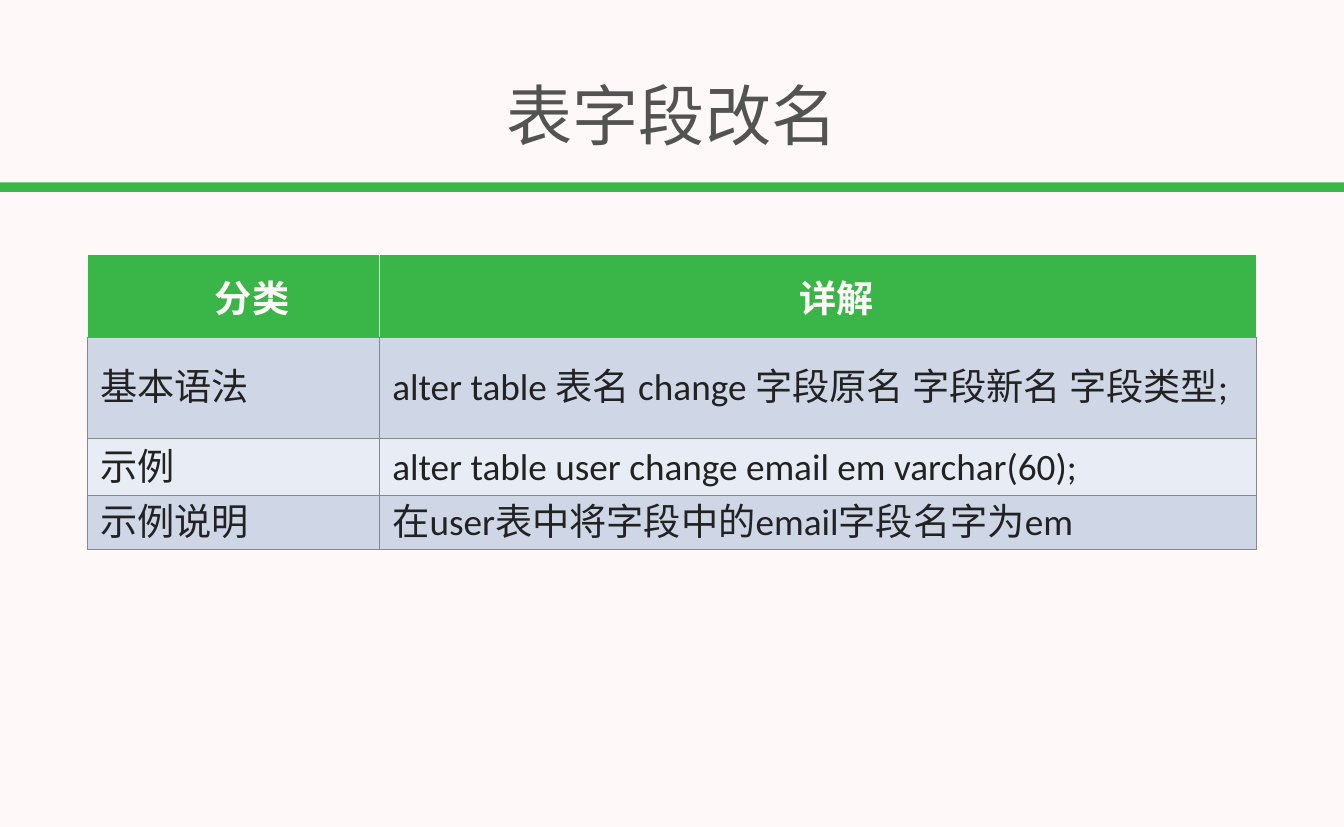
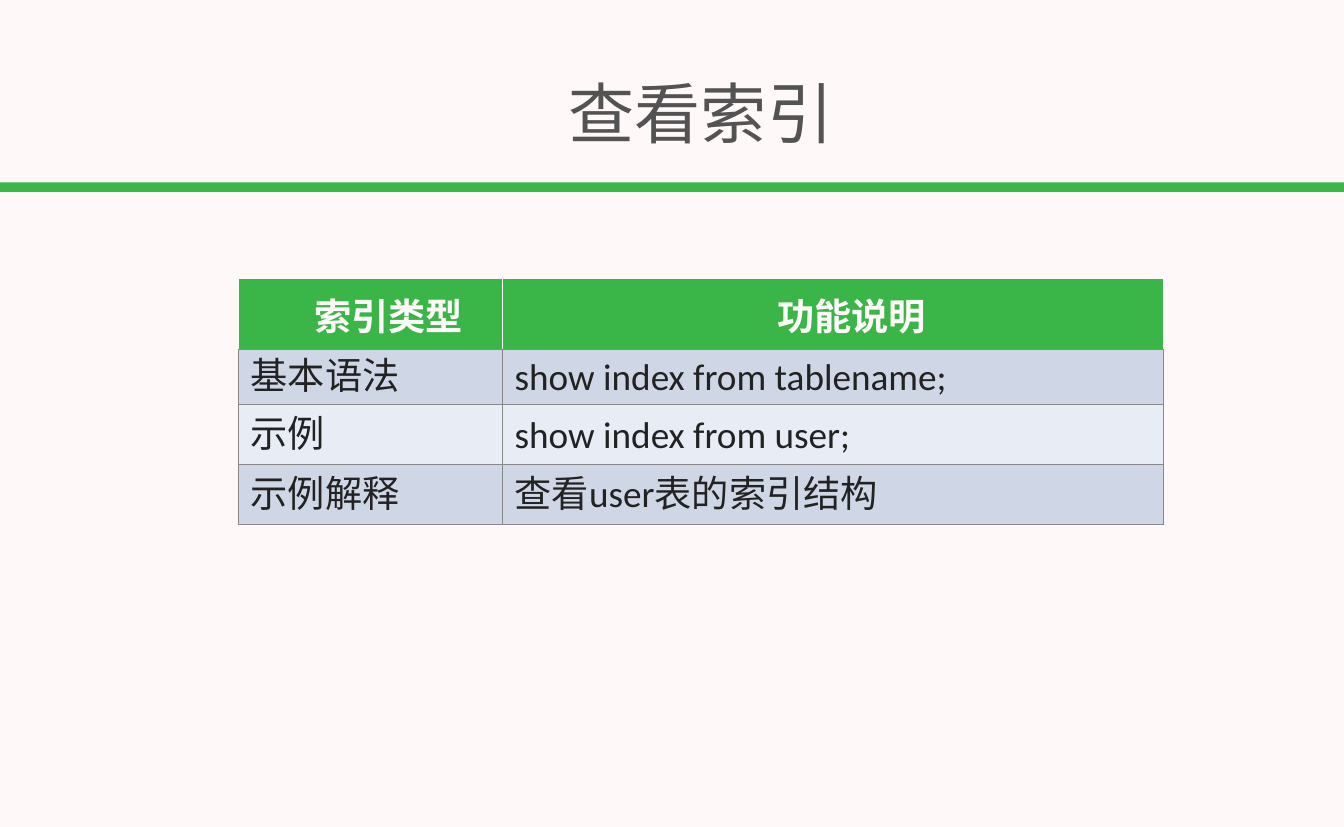
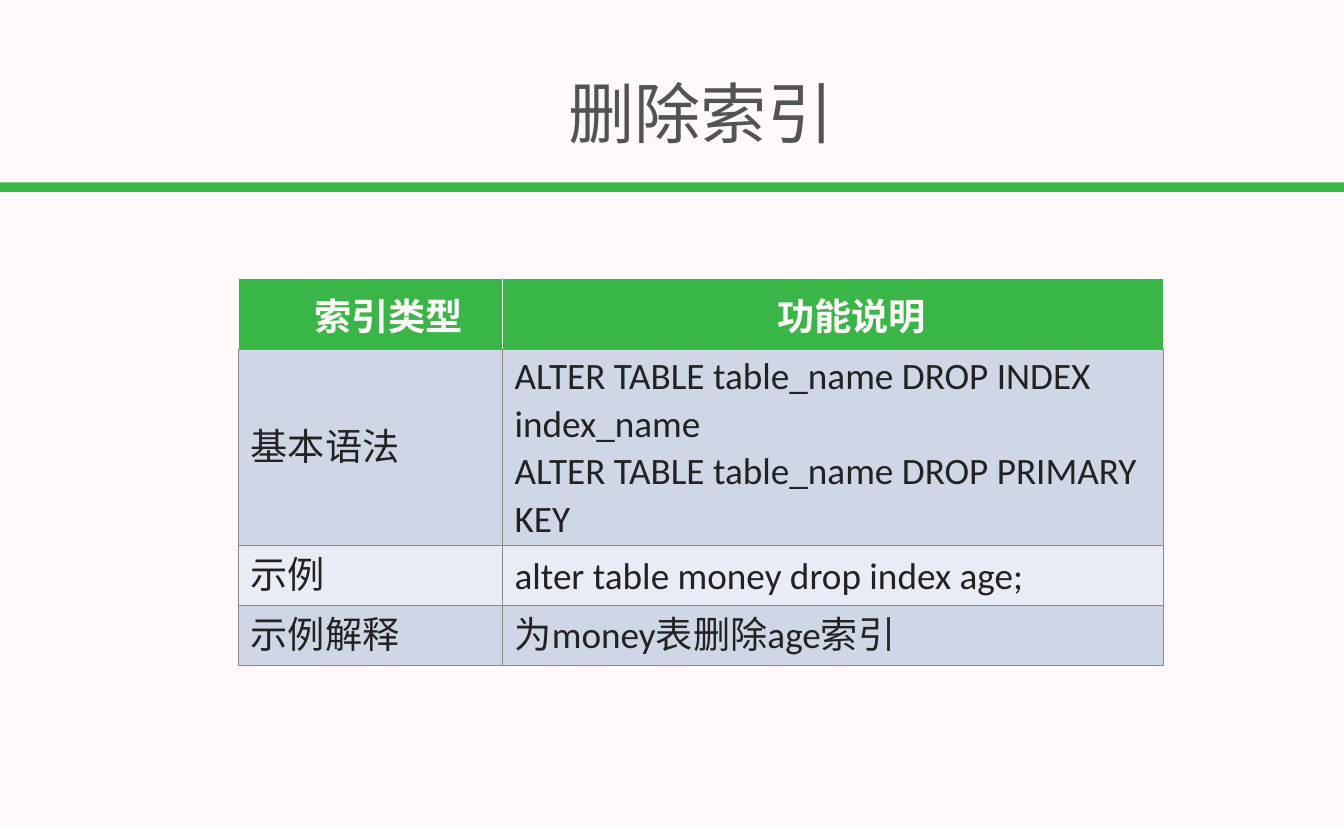
import dataclasses

import pptx
import pptx.dml.color
import pptx.enum.shapes
import pptx.enum.text
import pptx.oxml
import pptx.oxml.ns
import pptx.util

Inches = pptx.util.Inches
Pt = pptx.util.Pt
MIDDLE = pptx.enum.text.MSO_ANCHOR.MIDDLE
CENTER = pptx.enum.text.PP_ALIGN.CENTER
LEFT = pptx.enum.text.PP_ALIGN.LEFT


@dataclasses.dataclass(frozen=True)
class Theme:
    width: float = 18.06
    height: float = 11.11
    font: str = "Calibri"
    title_size: int = 64
    table_size: int = 36
    line_pitch: int = 46
    paper: str = "FFF8F8"
    band: str = "39B747"
    header: str = "39B647"
    stripes: tuple = ("CFD7E7", "E8ECF4")
    grid: str = "888888"
    title: str = "535353"
    body: str = "222222"


THEME = Theme()

WIDE = {"axis": 9.03, "title_top": 0.82, "table_top": 3.42, "table_width": 15.71,
        "label_share": 0.25, "rows": (1.11, 0.86, 0.77, 0.72)}
NARROW = {"axis": 9.42, "title_top": 0.79, "table_top": 3.74, "table_width": 12.44,
          "label_share": 0.285, "rows": (0.95, 0.74, 0.81, 0.81)}

INDEX_HEADER = ("索引类型", "功能说明")

SLIDES = [
    ("表字段改名", WIDE, [
        ("分类", "详解"),
        ("基本语法", "alter table 表名 change 字段原名 字段新名 字段类型;"),
        ("示例", "alter table user change email em varchar(60);"),
        ("示例说明", "在user表中将字段中的email字段名字为em"),
    ]),
    ("查看索引", NARROW, [
        INDEX_HEADER,
        ("基本语法", "show index from tablename;"),
        ("示例", "show index from user;"),
        ("示例解释", "查看user表的索引结构"),
    ]),
    ("删除索引", NARROW, [
        INDEX_HEADER,
        ("基本语法", "ALTER TABLE table_name DROP INDEX index_name\n"
                 "ALTER TABLE table_name DROP PRIMARY KEY"),
        ("示例", "alter table money drop index age;"),
        ("示例解释", "为money表删除age索引"),
    ]),
]


def rgb(value):
    return pptx.dml.color.RGBColor.from_string(value)


def write(frame, text, size, color, align, bold=False):
    frame.text = text
    for paragraph in frame.paragraphs:
        paragraph.alignment = align
        for run in paragraph.runs:
            run.font.name = THEME.font
            run.font.size = Pt(size)
            run.font.bold = bold
            run.font.color.rgb = rgb(color)


def set_margins(box, horizontal, vertical):
    box.margin_left = box.margin_right = Inches(horizontal)
    box.margin_top = box.margin_bottom = Inches(vertical)


def set_borders(cell, sides):
    properties = cell._tc.get_or_add_tcPr()
    for side, color in zip("LRTB", sides):
        properties.append(pptx.oxml.parse_xml(
            f'<a:ln{side} {pptx.oxml.ns.nsdecls("a")} w="{Pt(1)}">'
            f'<a:solidFill><a:srgbClr val="{color}"/></a:solidFill></a:ln{side}>'))


def add_band(slide):
    band = slide.shapes.add_shape(
        pptx.enum.shapes.MSO_SHAPE.RECTANGLE,
        0, Inches(2.45), Inches(THEME.width), Inches(0.13))
    band.shadow.inherit = False
    band.fill.solid()
    band.fill.fore_color.rgb = rgb(THEME.band)
    band.line.fill.background()


def add_title(slide, title, layout):
    width = 17.97
    heading = slide.shapes.add_textbox(
        Inches(layout["axis"] - width / 2), Inches(layout["title_top"]),
        Inches(width), Inches(1.42)).text_frame
    heading.word_wrap = True
    heading.vertical_anchor = MIDDLE
    set_margins(heading, 0.05, 0.05)
    write(heading, title, THEME.title_size, THEME.title, CENTER)


def style_header(cell, text):
    set_margins(cell, 0, 0)
    set_borders(cell, (THEME.paper, THEME.paper, THEME.paper, THEME.grid))
    write(cell.text_frame, text, THEME.table_size, THEME.paper, CENTER, bold=True)
    indent = cell.text_frame.paragraphs[0]._p.get_or_add_pPr()
    indent.set("marL", "0")
    indent.set("indent", str(Inches(0.5)))


def style_body(cell, text):
    set_margins(cell, 0.17, 0.04)
    set_borders(cell, (THEME.grid,) * 4)
    write(cell.text_frame, text, THEME.table_size, THEME.body, LEFT)
    for paragraph in cell.text_frame.paragraphs:
        paragraph.line_spacing = Pt(THEME.line_pitch)


def add_syntax_table(slide, entries, layout):
    width = layout["table_width"]
    table = slide.shapes.add_table(
        len(entries), 2,
        Inches(layout["axis"] - width / 2), Inches(layout["table_top"]),
        Inches(width), Inches(sum(layout["rows"]))).table
    table.horz_banding = False
    share = layout["label_share"]
    for column, part in zip(table.columns, (share, 1 - share)):
        column.width = Inches(width * part)
    for row, height in zip(table.rows, layout["rows"]):
        row.height = Inches(height)
    for r, entry in enumerate(entries):
        style = style_body if r else style_header
        fill = THEME.stripes[(r - 1) % 2] if r else THEME.header
        for c, text in enumerate(entry):
            cell = table.cell(r, c)
            cell.vertical_anchor = MIDDLE
            style(cell, text)
            cell.fill.solid()
            cell.fill.fore_color.rgb = rgb(fill)


def main():
    deck = pptx.Presentation()
    deck.slide_width = Inches(THEME.width)
    deck.slide_height = Inches(THEME.height)
    paper = deck.slide_master.background.fill
    paper.solid()
    paper.fore_color.rgb = rgb(THEME.paper)
    for title, layout, entries in SLIDES:
        slide = deck.slides.add_slide(deck.slide_layouts[6])
        add_band(slide)
        add_title(slide, title, layout)
        add_syntax_table(slide, entries, layout)
    deck.save("out.pptx")


if __name__ == "__main__":
    main()
